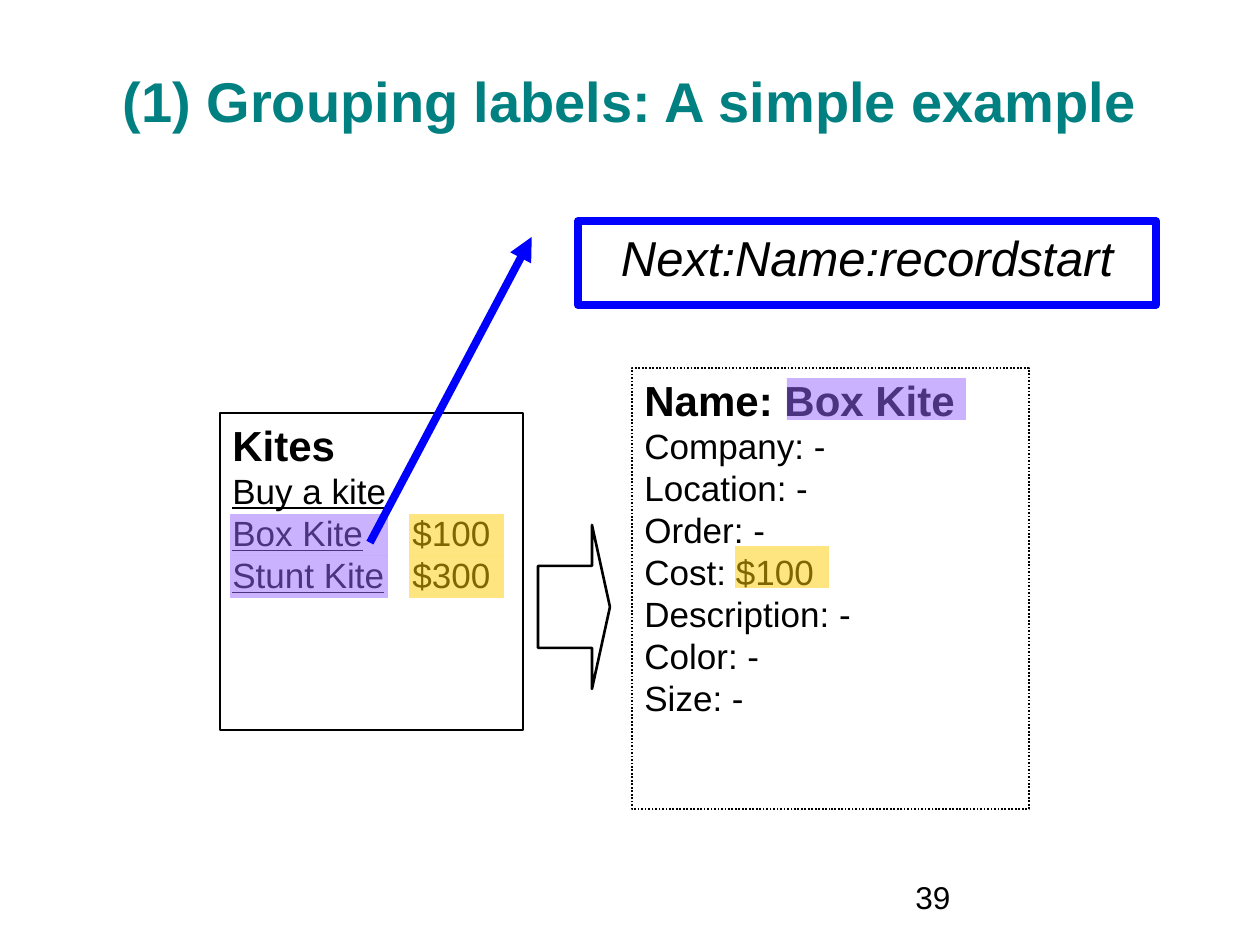
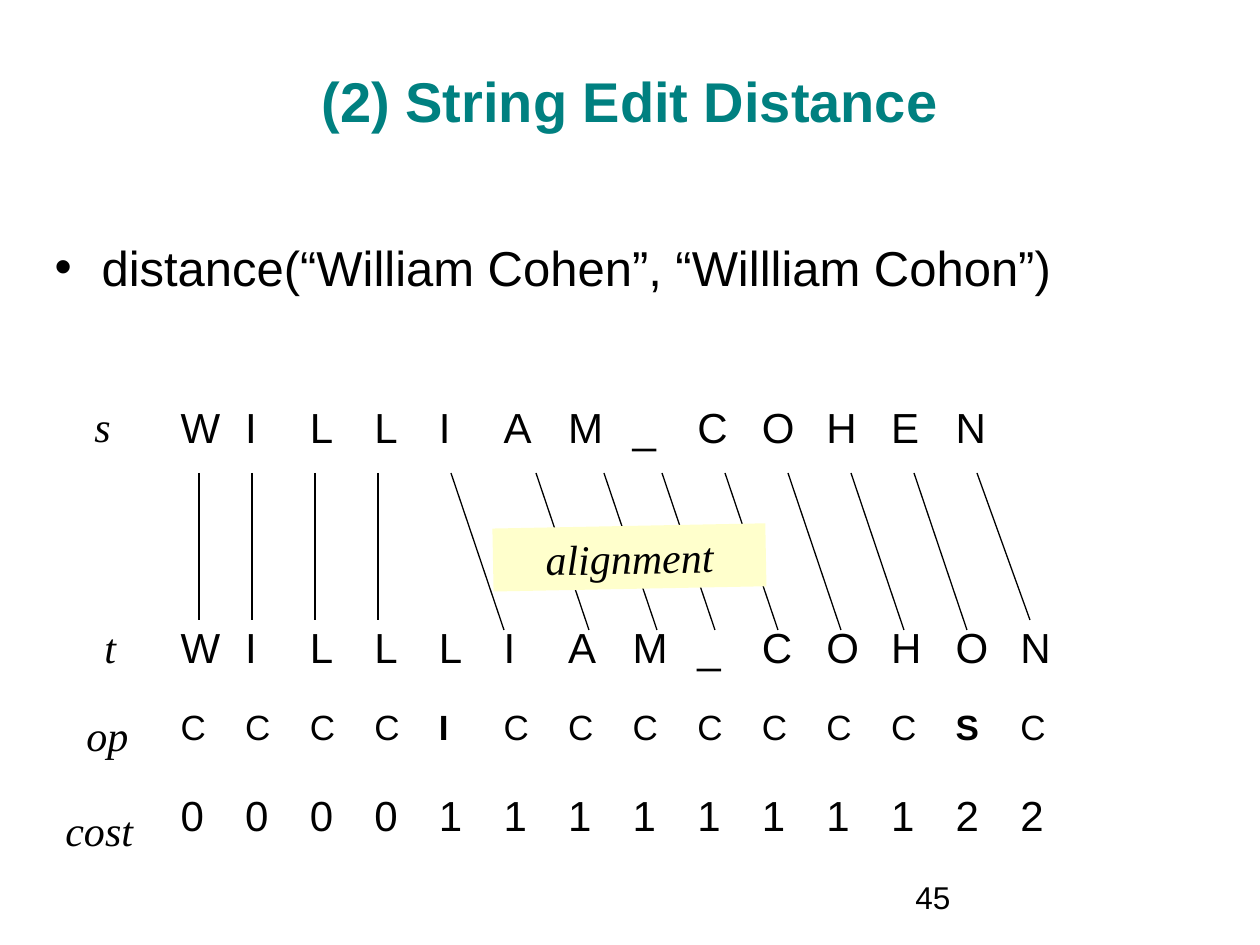
from dataclasses import dataclass

from lxml import etree
from pptx import Presentation
from pptx.dml.color import RGBColor
from pptx.enum.dml import MSO_LINE
from pptx.enum.shapes import MSO_CONNECTOR, MSO_SHAPE
from pptx.enum.text import MSO_ANCHOR, MSO_AUTO_SIZE, PP_ALIGN
from pptx.oxml.ns import qn
from pptx.util import Emu, Pt

RECTANGLE, RIGHT_ARROW = MSO_SHAPE.RECTANGLE, MSO_SHAPE.RIGHT_ARROW
CALLOUT = MSO_SHAPE.LINE_CALLOUT_1
STRAIGHT = MSO_CONNECTOR.STRAIGHT
DOTTED = MSO_LINE.ROUND_DOT
TOP, MIDDLE = MSO_ANCHOR.TOP, MSO_ANCHOR.MIDDLE
LEFT, CENTER = PP_ALIGN.LEFT, PP_ALIGN.CENTER
NO_AUTOFIT = MSO_AUTO_SIZE.NONE
TITLE_ONLY, TITLE_AND_BODY = 5, 1
NO_TABLE_STYLE = "{2D5ABB26-0587-4C30-8999-92F81FD0307C}"


@dataclass(frozen=True)
class Theme:
    sans: str = "Arial"
    serif: str = "Times New Roman"
    ink: str = "000000"
    title: str = "008080"
    callout: str = "0000FF"
    name_mark: str = "9966FF"
    price_mark: str = "FFCC00"
    label_fill: str = "FFFFCC"
    title_size: int = 32
    lead_size: int = 28
    head_size: int = 24
    text_size: int = 20
    page_size: int = 18


THEME = Theme()


# Shared helpers
def emu(px):
    return Emu(round(px * 914400 / 126))


def box_emu(box):
    return [emu(px) for px in box]


def rgb(value):
    return RGBColor.from_string(value)


def add_child(parent, tag, **attributes):
    return etree.SubElement(parent, qn(tag), attributes)


def add_run(paragraph, text, size, font=THEME.sans, color=THEME.ink,
            bold=False, italic=False, underline=False):
    run = paragraph.add_run()
    run.text = text
    run.font.size, run.font.name = Pt(size), font
    run.font.color.rgb = rgb(color)
    run.font.bold, run.font.italic, run.font.underline = bold, italic, underline


def first_paragraph(shape, align=LEFT, anchor=TOP, wrap=True):
    frame = shape.text_frame
    frame.word_wrap, frame.auto_size = wrap, NO_AUTOFIT
    frame.vertical_anchor = anchor
    frame.paragraphs[0].alignment = align
    return frame.paragraphs[0]


def next_paragraph(shape):
    paragraph = shape.text_frame.add_paragraph()
    paragraph.alignment = LEFT
    return paragraph


def add_box(slide, kind, box, fill=None, line=None, width=1.0):
    shape = slide.shapes.add_shape(kind, *box_emu(box))
    shape.shadow.inherit = False
    if fill:
        shape.fill.solid()
        shape.fill.fore_color.rgb = rgb(fill)
    else:
        shape.fill.background()
    if line:
        shape.line.color.rgb = rgb(line)
        shape.line.width = Pt(width)
    else:
        shape.line.fill.background()
    return shape


def place(shape, box):
    shape.left, shape.top, shape.width, shape.height = box_emu(box)


def start_slide(deck, layout, title, page):
    slide = deck.slides.add_slide(deck.slide_layouts[layout])
    heading = slide.shapes.title
    place(heading, (42, 21, 1176, 158))
    add_run(first_paragraph(heading, CENTER, MIDDLE), title,
            THEME.title_size, color=THEME.title, bold=True)
    page_box = slide.shapes.add_textbox(*box_emu((903, 872, 262, 63)))
    add_run(first_paragraph(page_box), page, THEME.page_size)
    return slide


# Slide 1: labelled page and the record built from it
def add_mark(slide, box, color):
    mark = add_box(slide, RECTANGLE, box, fill=color)
    color_node = next(mark.element.spPr.iter(qn("a:srgbClr")))
    add_child(color_node, "a:alpha", val="50000")


def add_kites_page(slide, box):
    left, top, _, _ = box
    page = add_box(slide, RECTANGLE, box, line=THEME.ink)
    add_run(first_paragraph(page), "Kites", THEME.head_size, bold=True)
    add_run(next_paragraph(page), "Buy a kite", THEME.text_size, underline=True)
    offers = next_paragraph(page)
    tabs = add_child(offers._p.get_or_add_pPr(), "a:tabLst")
    add_child(tabs, "a:tab", pos=str(emu(180)), algn="l")
    for row, (kite, price) in enumerate([("Box Kite", "$100"), ("Stunt Kite", "$300")]):
        if row:
            offers.add_line_break()
        add_run(offers, kite, THEME.text_size, underline=True)
        add_run(offers, "\t" + price, THEME.text_size)
        mark_top = top + 101 + 42 * row
        add_mark(slide, (left + 10, mark_top, 158, 42), THEME.name_mark)
        add_mark(slide, (left + 189, mark_top, 95, 42), THEME.price_mark)


def add_record(slide, box):
    left, top, _, _ = box
    record = add_box(slide, RECTANGLE, box, line=THEME.ink)
    record.line.dash_style = DOTTED
    add_run(first_paragraph(record), "Name: Box Kite", THEME.head_size, bold=True)
    fields = next_paragraph(record)
    values = ["Company: -", "Location: -", "Order: -", "Cost: $100",
              "Description: -", "Color: -", "Size: -"]
    for row, value in enumerate(values):
        if row:
            fields.add_line_break()
        add_run(fields, value, THEME.text_size)
    add_mark(slide, (left + 103, top + 178, 94, 42), THEME.price_mark)
    add_mark(slide, (left + 155, top + 10, 179, 42), THEME.name_mark)


def add_label_callout(slide, box):
    callout = add_box(slide, CALLOUT, box, line=THEME.callout, width=4.5)
    for index, value in enumerate((0.19, -0.08, 3.83, -0.36)):
        callout.adjustments[index] = value
    add_child(callout.line._get_or_add_ln(), "a:headEnd", type="triangle")
    add_run(first_paragraph(callout, CENTER), "Next:Name:recordstart",
            THEME.lead_size, italic=True)


def build_grouping_slide(deck):
    slide = start_slide(deck, TITLE_ONLY, "(1) Grouping labels: A simple example", "39")
    add_kites_page(slide, (220, 413, 303, 317))
    add_record(slide, (632, 368, 397, 441))
    arrow = add_box(slide, RIGHT_ARROW, (538, 525, 72, 164), line=THEME.ink, width=1.5)
    arrow.adjustments[1] = 0.25
    add_label_callout(slide, (578, 221, 578, 84))


# Slide 2: edit distance between two strings
def add_distance_bullet(slide, box):
    body = slide.placeholders[1]
    place(body, box)
    call = first_paragraph(body)
    indent = emu(47)
    properties = call._p.get_or_add_pPr()
    properties.set("marL", str(indent))
    properties.set("indent", str(-indent))
    add_child(properties, "a:buChar", char="•")
    call.space_before = Pt(0)
    add_run(call, "distance(“William Cohen”, “Willliam Cohon”)", THEME.lead_size)


def add_edit_table(slide, box):
    rows = [("WILLIAM_COHEN", THEME.head_size, 73),
            ("", THEME.head_size, 147),
            ("WILLLIAM_COHON", THEME.head_size, 84),
            ("CCCCICCCCCCCSC", THEME.text_size, 84),
            ("00001111111122", THEME.head_size, 95)]
    columns, last_width = 14, 158
    frame = slide.shapes.add_table(len(rows), columns, *box_emu(box))
    next(frame.element.iter(qn("a:tableStyleId"))).text = NO_TABLE_STYLE
    table = frame.table
    table.first_row = table.horz_banding = False
    for column in table.columns:
        column.width = emu((box[2] - last_width) / (columns - 1))
    table.columns[columns - 1].width = emu(last_width)
    for row, (letters, size, height) in enumerate(rows):
        table.rows[row].height = emu(height)
        for cell in table.rows[row].cells:
            cell.fill.background()
        for column, letter in enumerate(letters):
            is_edit = letters.startswith("CCCC") and letter != "C"
            add_run(table.cell(row, column).text_frame.paragraphs[0],
                    letter, size, bold=is_edit)


def add_alignment(slide, box):
    left, top, width, height = box
    copied = [0, 53, 116, 179]
    shifted = [252, 337, 405] + [463 + 63 * step for step in range(6)]
    links = [(x, 0, 147) for x in copied] + [(x, 53, height) for x in shifted]
    links[-1] = (shifted[-1], 53, 147)
    for x, shift, drop in links:
        ends = (left + x, top, left + x + shift, top + drop)
        link = slide.shapes.add_connector(STRAIGHT, *box_emu(ends))
        link.line.color.rgb = rgb(THEME.ink)
        link.line.width = Pt(0.75)
        add_child(link.element.spPr, "a:effectLst")
    label = add_box(slide, RECTANGLE, (left + 294, top + 53, 273, 63),
                    fill=THEME.label_fill)
    label.rotation = -1.1
    add_run(first_paragraph(label, CENTER), "alignment", THEME.head_size,
            font=THEME.serif, italic=True)


def add_row_names(slide, box):
    left, top, _, _ = box
    names = [("s", 29, 0, 42), ("t", 39, 221, 37), ("op", 21, 309, 67), ("cost", 0, 404, 92)]
    for name, x, y, width in names:
        name_box = slide.shapes.add_textbox(*box_emu((left + x, top + y, width, 63)))
        add_run(first_paragraph(name_box, wrap=False), name, THEME.head_size,
                font=THEME.serif, italic=True)


def build_distance_slide(deck):
    slide = start_slide(deck, TITLE_AND_BODY, "(2) String Edit Distance", "45")
    add_distance_bullet(slide, (42, 231, 1176, 116))
    add_edit_table(slide, (168, 399, 998, 483))
    add_row_names(slide, (53, 394, 92, 467))
    add_alignment(slide, (199, 473, 830, 157))


def main():
    deck = Presentation()
    deck.slide_width, deck.slide_height = emu(1260), emu(945)
    build_grouping_slide(deck)
    build_distance_slide(deck)
    deck.save("out.pptx")


if __name__ == "__main__":
    main()
